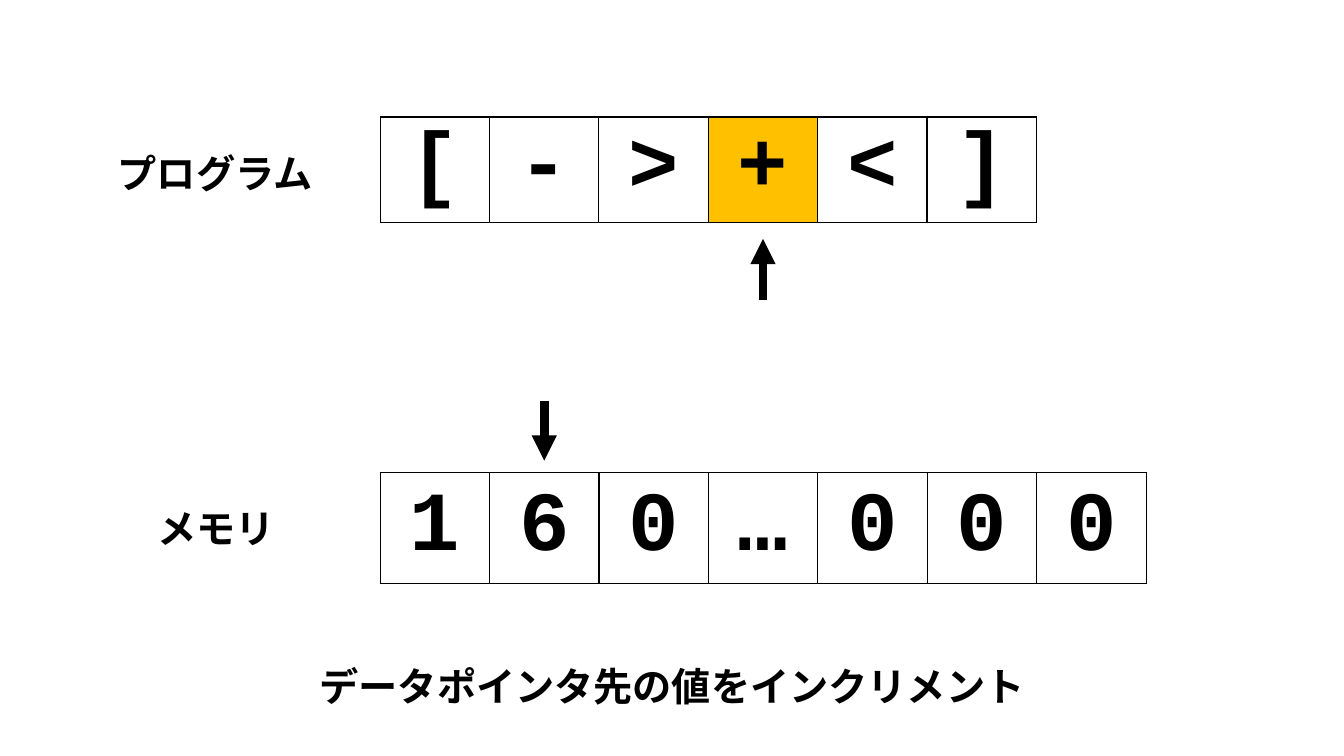
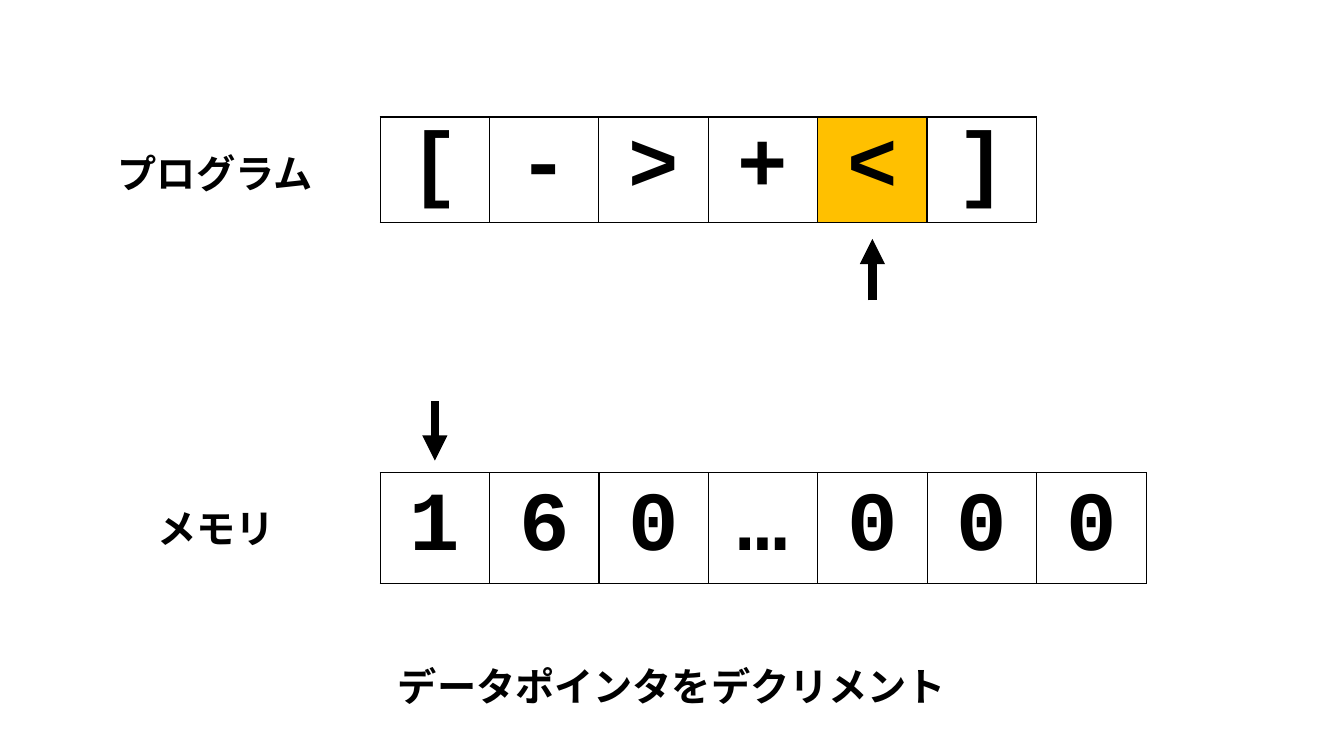
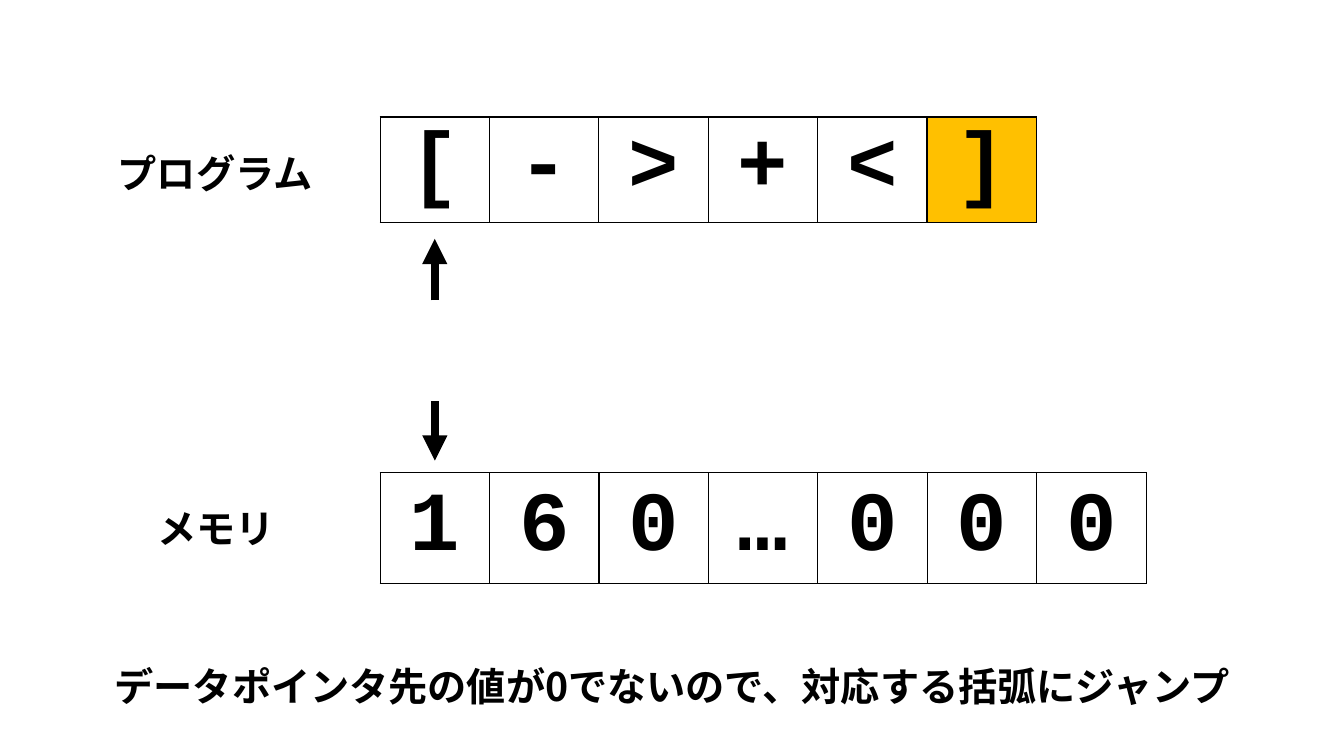
from collections import namedtuple

from lxml.etree import SubElement
from pptx import Presentation
from pptx.dml.color import RGBColor
from pptx.enum.shapes import MSO_CONNECTOR
from pptx.enum.text import MSO_ANCHOR, MSO_AUTO_SIZE as AutoSize, PP_ALIGN
from pptx.oxml.ns import qn
from pptx.util import Pt

PX = 9144
BLACK = RGBColor(0x00, 0x00, 0x00)
WHITE = RGBColor(0xFF, 0xFF, 0xFF)
AMBER = RGBColor(0xFF, 0xC0, 0x00)
CODE_FONT = "Courier New"
LABEL_FONT = "Noto Sans CJK JP"

Box = namedtuple("Box", "left top width height")
Step = namedtuple("Step", "current program_pointer data_pointer caption")

PROGRAM = "[->+<]"
MEMORY = "160…000"
PROGRAM_BOX = Box(377, 116, 651, 104)
MEMORY_BOX = Box(377, 469, 760, 110)
PROGRAM_LABEL_BOX = Box(107, 143, 217, 57)
MEMORY_LABEL_BOX = Box(146, 495, 138, 57)
CAPTION_BOX = Box(93, 652, 1147, 57)

STEPS = [
    Step(3, 3, 1, "データポインタ先の値をインクリメント"),
    Step(4, 4, 0, "データポインタをデクリメント"),
    Step(5, 0, 0, "データポインタ先の値が0でないので、対応する括弧にジャンプ"),
]


def emu(box):
    """Return the four lengths of a px box in EMU."""
    return [length * PX for length in box]


def add_text(paragraph, text, font_name, size):
    """Add one bold black run to a paragraph."""
    run = paragraph.add_run()
    run.text = text
    run.font.name = font_name
    run.font.size = Pt(size)
    run.font.bold = True
    run.font.color.rgb = BLACK
    if font_name == LABEL_FONT:
        SubElement(run.font._element, qn("a:ea"), typeface=font_name)


def add_label(slide, box, text, align=PP_ALIGN.LEFT, wrap=False):
    """Write a label or caption in its box."""
    frame = slide.shapes.add_textbox(*emu(box)).text_frame
    frame.word_wrap = wrap
    frame.auto_size = AutoSize.SHAPE_TO_FIT_TEXT
    frame.paragraphs[0].alignment = align
    add_text(frame.paragraphs[0], text, LABEL_FONT, 28)


def add_borders(cell):
    """Draw a thin black line on each side of a cell."""
    properties = cell._tc.get_or_add_tcPr()
    for position, side in enumerate(("lnL", "lnR", "lnT", "lnB")):
        line = properties.makeelement(qn(f"a:{side}"), {"w": str(Pt(1))})
        fill = SubElement(line, qn("a:solidFill"))
        SubElement(fill, qn("a:srgbClr"), val=str(BLACK))
        properties.insert(position, line)


def add_tape(slide, box, symbols, current=None):
    """Lay out symbols as equal cells, with the current one highlighted."""
    tape = slide.shapes.add_table(1, len(symbols), *emu(box)).table
    tape.first_row = tape.horz_banding = False
    for index, symbol in enumerate(symbols):
        tape.columns[index].width = box.width * PX // len(symbols)
        cell = tape.cell(0, index)
        cell.vertical_anchor = MSO_ANCHOR.MIDDLE
        cell.fill.solid()
        cell.fill.fore_color.rgb = AMBER if index == current else WHITE
        add_borders(cell)
        paragraph = cell.text_frame.paragraphs[0]
        paragraph.alignment = PP_ALIGN.CENTER
        add_text(paragraph, symbol, CODE_FONT, 60)


def add_pointer(slide, box, count, index, start, end):
    """Point at a tape cell, from start to end relative to the box top."""
    x = round((box.left + box.width * (index + 0.5) / count) * PX)
    pointer = slide.shapes.add_connector(
        MSO_CONNECTOR.STRAIGHT, x, (box.top + start) * PX, x, (box.top + end) * PX
    )
    pointer.line.color.rgb = BLACK
    pointer.line.width = Pt(6)
    SubElement(pointer.line._get_or_add_ln(), qn("a:tailEnd"), type="triangle")
    SubElement(pointer._element.spPr, qn("a:effectLst"))


def add_step(deck, step):
    """Build the slide of one execution step."""
    slide = deck.slides.add_slide(deck.slide_layouts[6])
    add_tape(slide, PROGRAM_BOX, PROGRAM, step.current)
    add_label(slide, PROGRAM_LABEL_BOX, "プログラム")
    add_tape(slide, MEMORY_BOX, MEMORY)
    add_label(slide, MEMORY_LABEL_BOX, "メモリ")
    add_pointer(slide, PROGRAM_BOX, len(PROGRAM), step.program_pointer, 182, 121)
    add_pointer(slide, MEMORY_BOX, len(MEMORY), step.data_pointer, -71, -12)
    add_label(slide, CAPTION_BOX, step.caption, PP_ALIGN.CENTER, wrap=True)


def main():
    """Build and save the deck."""
    deck = Presentation()
    deck.slide_width, deck.slide_height = 1333 * PX, 750 * PX
    for step in STEPS:
        add_step(deck, step)
    deck.save("out.pptx")


if __name__ == "__main__":
    main()
